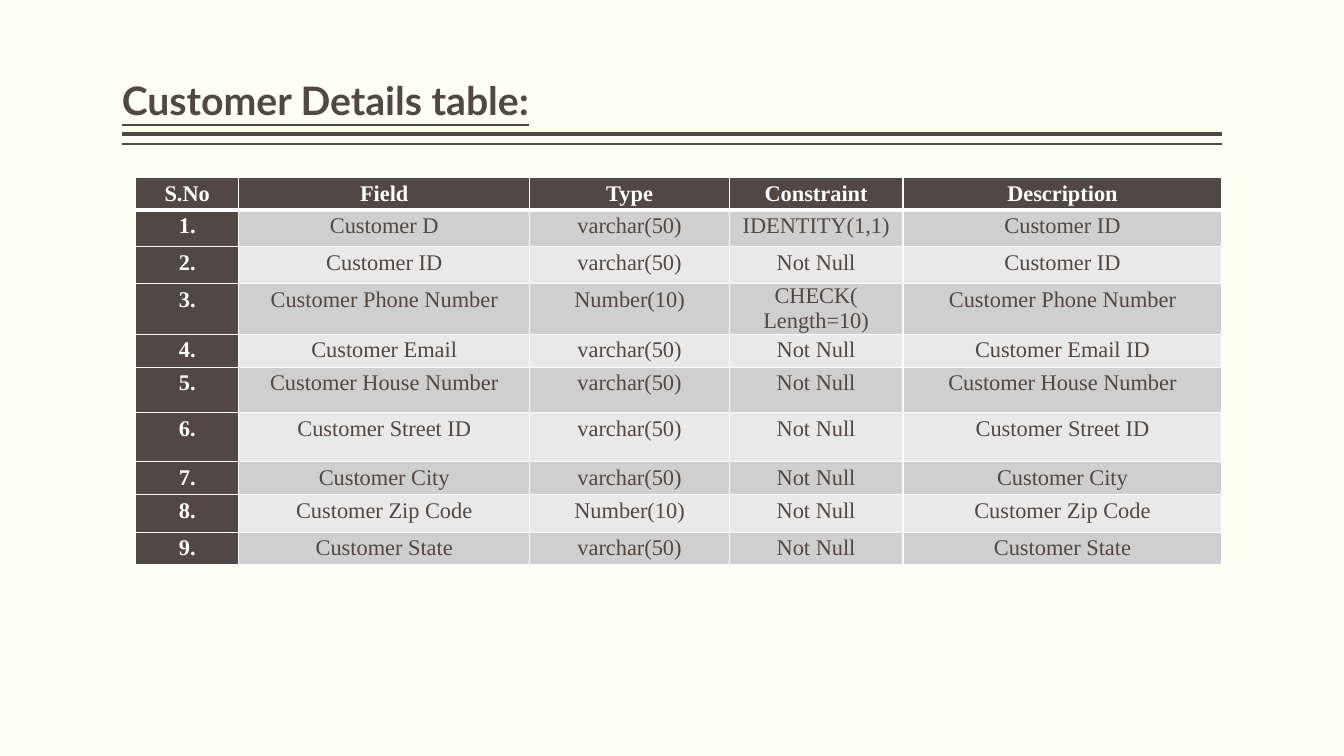
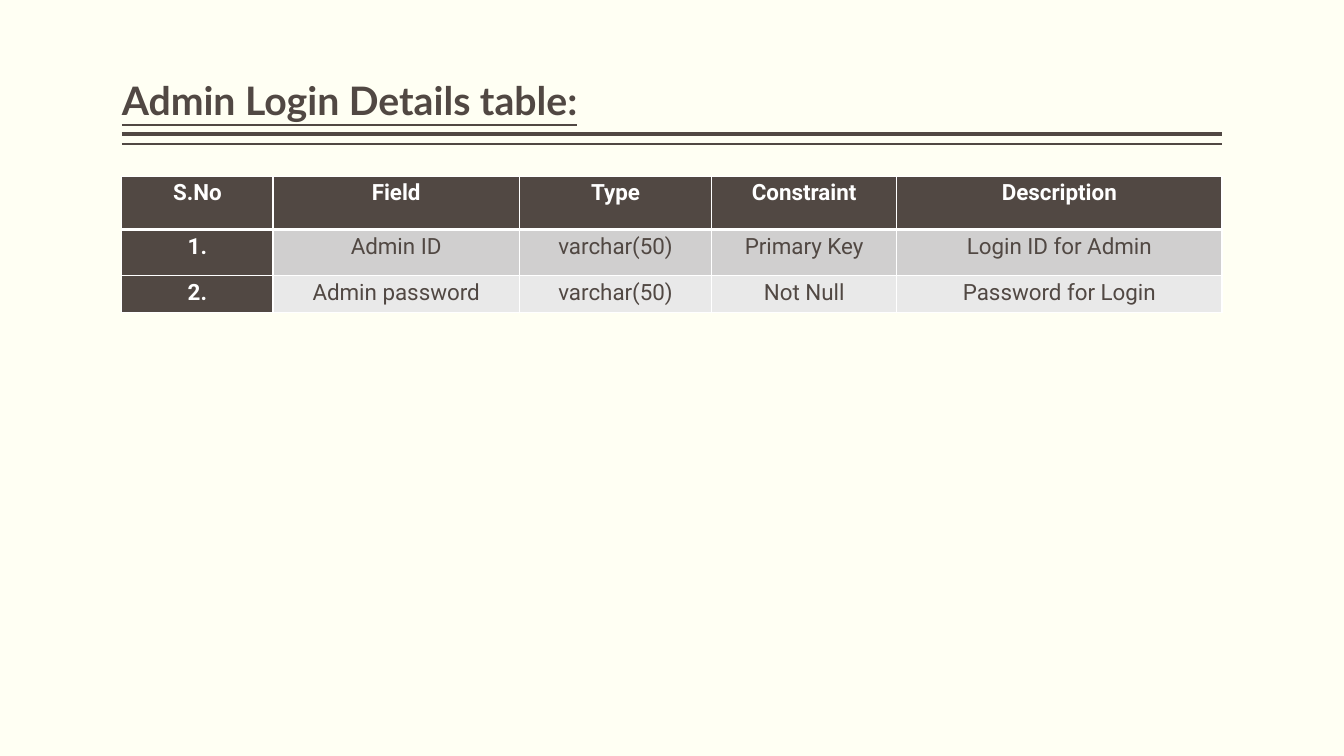
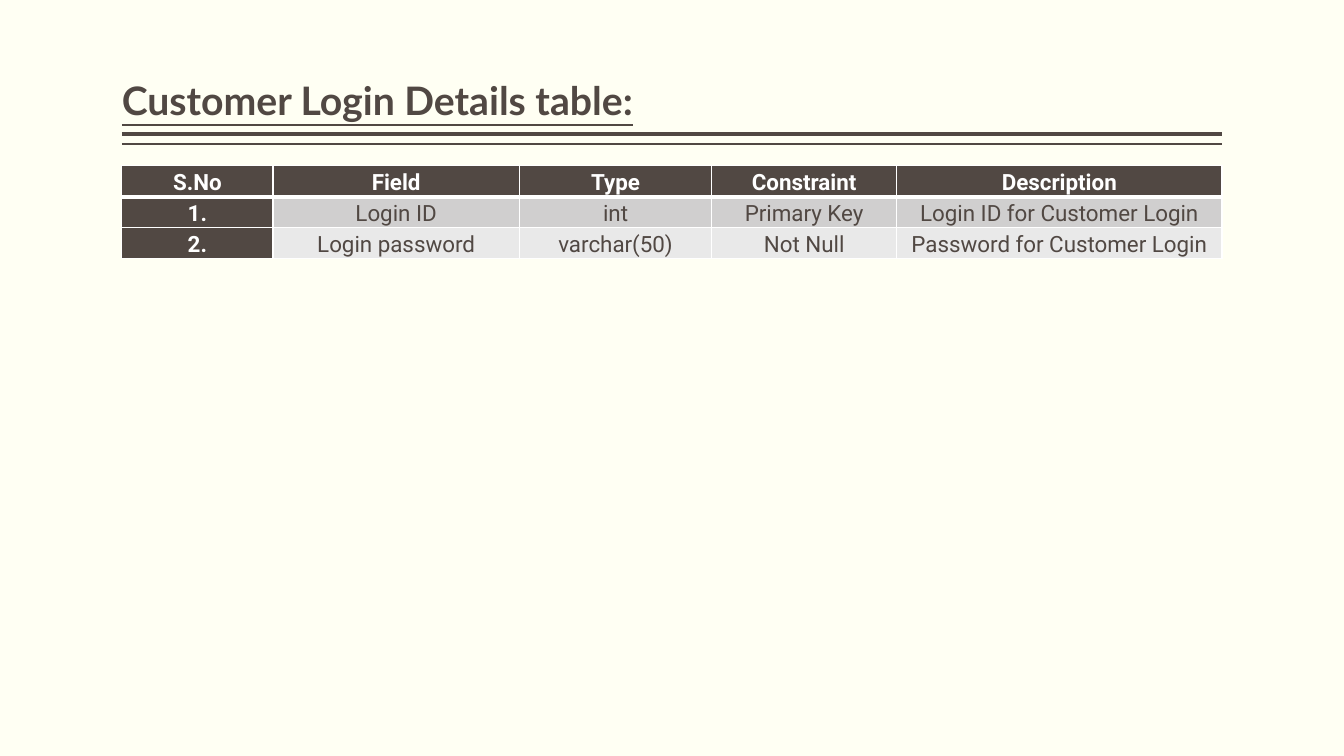
from pptx import Presentation
from pptx.dml.color import RGBColor
from pptx.enum import shapes, text
from pptx.oxml import parse_xml
from pptx.oxml.ns import nsdecls
from pptx.util import Pt

# Content
HEAD = ("S.No", "Field", "Type", "Constraint", "Description")
WIDE = dict(left=87, font="Roboto", cols=(108, 176, 137.5, 132, 232.5))
TABLES = [
    dict(title="Customer Details table:", left=97, top=126.8,
         font="Times New Roman", cols=(73.5, 208, 142.5, 124, 228),
         heights=(23, 26.5, 26.5, 36, 23.5, 32.5, 35, 23.5, 27, 23),
         rows=[
             ("Customer D", "varchar(50)", "IDENTITY(1,1)", "Customer ID"),
             ("Customer ID", "varchar(50)", "Not Null", "Customer ID"),
             ("Customer Phone Number", "Number(10)", "CHECK(\nLength=10)",
              "Customer Phone Number"),
             ("Customer Email", "varchar(50)", "Not Null", "Customer Email ID"),
             ("Customer House Number", "varchar(50)", "Not Null",
              "Customer House Number"),
             ("Customer Street ID", "varchar(50)", "Not Null",
              "Customer Street ID"),
             ("Customer City", "varchar(50)", "Not Null", "Customer City"),
             ("Customer Zip Code", "Number(10)", "Not Null",
              "Customer Zip Code"),
             ("Customer State", "varchar(50)", "Not Null", "Customer State"),
         ]),
    dict(WIDE, title="Admin Login Details table:", top=126,
         heights=(38, 33, 26.5),
         rows=[
             ("Admin ID", "varchar(50)", "Primary Key", "Login ID for Admin"),
             ("Admin password", "varchar(50)", "Not Null",
              "Password for Login"),
         ]),
    dict(WIDE, title="Customer Login Details table:", top=118.5,
         heights=(22, 22, 22),
         rows=[
             ("Login ID", "int", "Primary Key", "Login ID for Customer Login"),
             ("Login password", "varchar(50)", "Not Null",
              "Password for Customer Login"),
         ]),
]

# Shared look
PAPER, DARK, WHITE = "FFFFF3", "514843", "FFFFFF"
BANDS = ("D0CFCF", "E9E9E9")
LEFT, WIDTH = 87, 786
RULES = ((95.8, 3), (102.8, 1))


def color(code):
    return RGBColor.from_string(code)


def assign(target, **values):
    for name, value in values.items():
        setattr(target, name, value)


def style(font, name, size, code, **more):
    assign(font, name=name, size=Pt(size), **more)
    font.color.rgb = color(code)


def add_rules(slide):
    """Draw the double rule and move it to the slide's layout."""
    for y, width in RULES:
        rule = slide.shapes.add_connector(
            shapes.MSO_CONNECTOR.STRAIGHT,
            Pt(LEFT), Pt(y), Pt(LEFT + WIDTH), Pt(y))
        rule.line.width = Pt(width)
        rule.line.color.rgb = color(DARK)
        rule.element.spPr.append(
            parse_xml(f"<a:effectLst {nsdecls('a')}/>"))
        slide.slide_layout.shapes.element.append(rule.element)


def add_title(slide, words):
    title = slide.shapes.title
    assign(title, left=Pt(LEFT), top=Pt(6), width=Pt(WIDTH), height=Pt(86))
    frame = title.text_frame
    assign(frame, text=words, word_wrap=True,
           auto_size=text.MSO_AUTO_SIZE.NONE,
           vertical_anchor=text.MSO_ANCHOR.BOTTOM,
           margin_left=0, margin_right=0,
           margin_top=Pt(3.6), margin_bottom=Pt(3.6))
    para = frame.paragraphs[0]
    assign(para, alignment=text.PP_ALIGN.LEFT, line_spacing=0.9)
    style(para.runs[0].font, "Lato", 28, DARK, bold=True, underline=True)


def add_borders(cell, row):
    sides = dict(L=1, R=1, T=3 if row == 1 else 1, B=3 if row == 0 else 1)
    props = cell._tc.get_or_add_tcPr()
    for side, width in sides.items():
        props.append(parse_xml(
            f'<a:ln{side} {nsdecls("a")} w="{Pt(width)}"><a:solidFill>'
            f'<a:srgbClr val="{WHITE}"/></a:solidFill></a:ln{side}>'))


def fill_cell(cell, words, row, col, font):
    strong = row == 0 or col == 0
    assign(cell, text=words, vertical_anchor=text.MSO_ANCHOR.TOP,
           margin_left=Pt(5), margin_right=Pt(5),
           margin_top=0, margin_bottom=0)
    add_borders(cell, row)
    cell.fill.solid()
    cell.fill.fore_color.rgb = color(DARK if strong else BANDS[(row - 1) % 2])
    paras = cell.text_frame.paragraphs
    for para in paras:
        assign(para, alignment=text.PP_ALIGN.CENTER,
               line_spacing=1.15 if len(paras) == 1 else 1.0)
        style(para.runs[0].font, font, 16, WHITE if strong else DARK,
              bold=strong)


def add_grid(slide, data):
    rows = [HEAD] + [(f"{n}.", *row) for n, row in enumerate(data["rows"], 1)]
    cols, heights = data["cols"], data["heights"]
    grid = slide.shapes.add_table(
        len(rows), len(cols), Pt(data["left"]), Pt(data["top"]),
        Pt(sum(cols)), Pt(sum(heights))).table
    for col, width in zip(grid.columns, cols):
        col.width = Pt(width)
    for r, (row, height) in enumerate(zip(rows, heights)):
        grid.rows[r].height = Pt(height)
        for c, words in enumerate(row):
            fill_cell(grid.cell(r, c), words, r, c, data["font"])


def main():
    deck = Presentation()
    assign(deck, slide_width=Pt(960), slide_height=Pt(540))
    layout = deck.slide_layouts[5]
    layout.background.fill.solid()
    layout.background.fill.fore_color.rgb = color(PAPER)
    for n, data in enumerate(TABLES):
        slide = deck.slides.add_slide(layout)
        if n == 0:
            add_rules(slide)
        add_title(slide, data["title"])
        add_grid(slide, data)
    deck.save("out.pptx")


if __name__ == "__main__":
    main()
